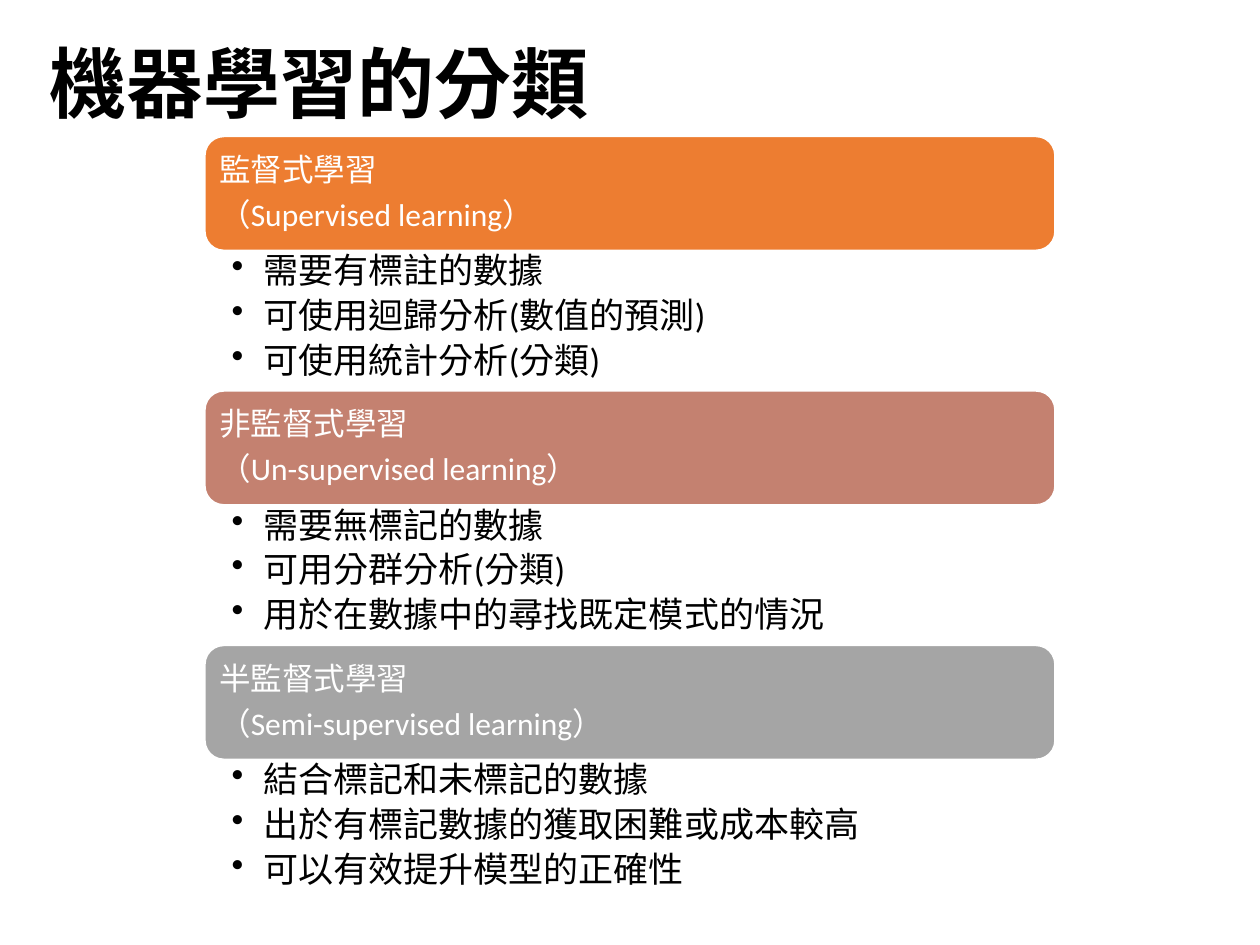
from lxml import etree
from pptx import Presentation
from pptx.dml.color import RGBColor
from pptx.enum.lang import MSO_LANGUAGE_ID
from pptx.enum.shapes import MSO_SHAPE
from pptx.enum.text import MSO_ANCHOR, MSO_AUTO_SIZE, PP_ALIGN
from pptx.oxml.ns import qn
from pptx.util import Cm, Pt

BLACK = RGBColor(0x00, 0x00, 0x00)
WHITE = RGBColor(0xFF, 0xFF, 0xFF)
ORANGE = RGBColor(0xED, 0x7D, 0x31)
CLAY = RGBColor(0xC4, 0x81, 0x70)
GRAY = RGBColor(0xA5, 0xA5, 0xA5)

LEFT, WIDTH = Cm(4.13), Cm(17.14)
FIRST_TOP, PITCH = Cm(2.75), Cm(5.13)
BAR_HEIGHT, LIST_HEIGHT = Cm(2.3), Cm(2.84)

CATEGORIES = [
    (ORANGE, ["監督式學習", "（Supervised learning）"],
     ["需要有標註的數據", "可使用迴歸分析(數值的預測)", "可使用統計分析(分類)"]),
    (CLAY, ["非監督式學習", "（Un-supervised learning）"],
     ["需要無標記的數據", "可用分群分析(分類)", "用於在數據中的尋找既定模式的情況"]),
    (GRAY, ["半監督式學習", "（Semi-supervised learning）"],
     ["結合標記和未標記的數據", "出於有標記數據的獲取困難或成本較高", "可以有效提升模型的正確性"]),
]


class SlideBuilder:
    """Holds the text style and the current slide."""

    font = "Calibri"

    def __init__(self, slide):
        """Start with the given slide."""
        self.slide = slide

    def fill_text(self, frame, lines, size, color, bold=False, spacing=None, after=0):
        """Put one left-aligned paragraph per line into a text frame."""
        for i, line in enumerate(lines):
            paragraph = frame.paragraphs[0] if i == 0 else frame.add_paragraph()
            paragraph.alignment = PP_ALIGN.LEFT
            paragraph.line_spacing = spacing
            paragraph.space_before = Pt(0)
            paragraph.space_after = Pt(after)
            run = paragraph.add_run()
            run.text = line
            font = run.font
            font.name, font.size, font.bold = self.font, Pt(size), bold
            font.color.rgb = color
            font.language_id = MSO_LANGUAGE_ID.TRADITIONAL_CHINESE

    def inset(self, frame, left, top, right, bottom):
        """Set wrapping and the four margins of a text frame."""
        frame.word_wrap = True
        frame.margin_left, frame.margin_top = Cm(left), Cm(top)
        frame.margin_right, frame.margin_bottom = Cm(right), Cm(bottom)

    def title(self, text):
        """Place and fill the title placeholder."""
        title = self.slide.shapes.title
        title.left, title.top = Cm(0.74), Cm(0.58)
        title.width, title.height = Cm(11.96), Cm(2.13)
        frame = title.text_frame
        frame.auto_size = MSO_AUTO_SIZE.NONE
        frame.vertical_anchor = MSO_ANCHOR.TOP
        self.inset(frame, 0.25, 0.13, 0.25, 0.13)
        self.fill_text(frame, [text], 44, BLACK, bold=True)

    def bar(self, top, color, lines):
        """Add a rounded category heading."""
        bar = self.slide.shapes.add_shape(
            MSO_SHAPE.ROUNDED_RECTANGLE, LEFT, top, WIDTH, BAR_HEIGHT)
        bar.shadow.inherit = False
        bar.fill.solid()
        bar.fill.fore_color.rgb = color
        bar.line.color.rgb = WHITE
        bar.line.width = Pt(1)
        frame = bar.text_frame
        frame.vertical_anchor = MSO_ANCHOR.MIDDLE
        self.inset(frame, 0.18, 0.18, 0.18, 0.18)
        self.fill_text(frame, lines, 18, WHITE, spacing=0.9, after=6.3)

    def bullets(self, top, lines):
        """Add a bulleted list."""
        frame = self.slide.shapes.add_textbox(LEFT, top, WIDTH, LIST_HEIGHT).text_frame
        self.inset(frame, 0.54, 0.06, 0.41, 0.06)
        self.fill_text(frame, lines, 20, BLACK, spacing=0.9, after=4)
        for paragraph in frame.paragraphs:
            properties = paragraph._p.get_or_add_pPr()
            properties.set("marL", str(Cm(0.64)))
            properties.set("indent", str(-Cm(0.64)))
            etree.SubElement(properties, qn("a:buChar")).set("char", "•")


def main():
    """Build and save the presentation."""
    prs = Presentation()
    prs.slide_width, prs.slide_height = Cm(25.4), Cm(19.05)
    builder = SlideBuilder(prs.slides.add_slide(prs.slide_layouts[5]))
    builder.title("機器學習的分類")
    for i, (color, heading, points) in enumerate(CATEGORIES):
        top = FIRST_TOP + i * PITCH
        builder.bar(top, color, heading)
        builder.bullets(top + BAR_HEIGHT, points)
    prs.save("out.pptx")


main()
